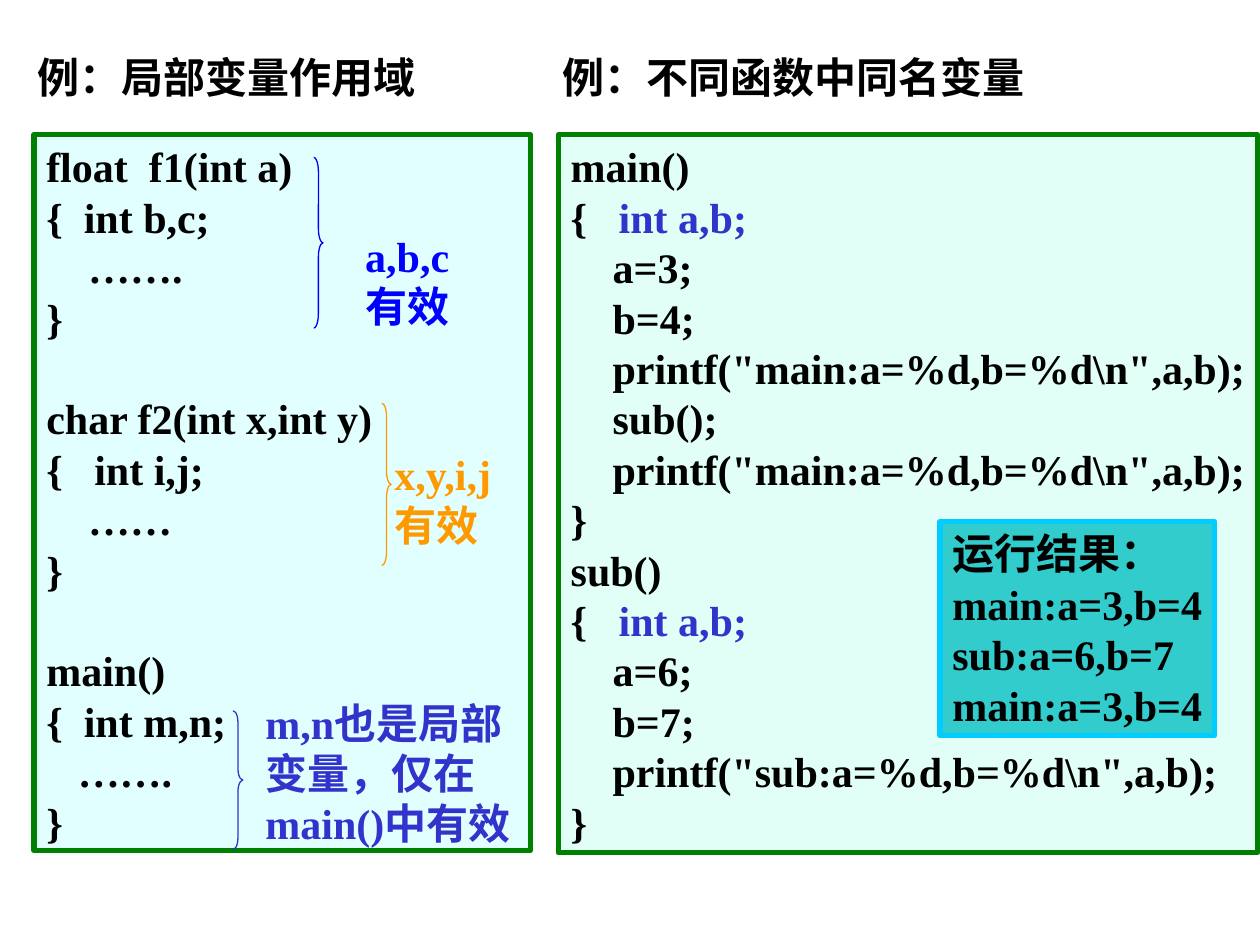
from pptx import Presentation
from pptx.dml.color import RGBColor
from pptx.enum.shapes import MSO_SHAPE
from pptx.enum.text import MSO_ANCHOR, PP_ALIGN
from pptx.util import Pt

THEME = {
    "font": "Times New Roman", "size": 24, "pitch": 28.8,
    "edge": 3, "hair": 0.75,
    "ink": "000000", "blue": "0000FF", "gold": "FF9900", "violet": "3333CC",
    "sky": "E1FFFF", "mint": "E1FFF7", "green": "008000",
    "teal": "33CCCC", "cyan": "00CCFF",
}

HEADS = [
    ("例：局部变量作用域", (14.4, 26, 238, 36)),
    ("例：不同函数中同名变量", (314.6, 26, 318, 36)),
]

SCOPE = [
    ["float  f1(int a)", "{  int b,c;", "    …….", "}"],
    ["char f2(int x,int y)", "{   int i,j;", "    ……", "}"],
    ["main()", "{  int m,n;", "   …….", "}"],
]

CODE = [
    "main()",
    [("{   ", "ink"), ("int a,b;", "violet")],
    "    a=3;",
    "    b=4;",
    '    printf("main:a=%d,b=%d\\n",a,b);',
    "    sub();",
    '    printf("main:a=%d,b=%d\\n",a,b);',
    "}",
    "sub()",
    [("{   ", "ink"), ("int a,b;", "violet")],
    "    a=6;",
    "    b=7;",
    '    printf("sub:a=%d,b=%d\\n",a,b);',
    "}",
]

RESULT = ["运行结果：", "main:a=3,b=4", "sub:a=6,b=7", "main:a=3,b=4"]

NOTES = [
    (["a,b,c", "有效"], "blue", (179.3, 90, 5.3, 97.5), (201.6, 128.2, 84, 57)),
    (["x,y,i,j", "有效"], "gold", (218.2, 230.4, 5.3, 92.8), (218.2, 252.9, 84, 57)),
    (["m,n也是局部", "变量，仅在", "main()中有效"], "violet",
     (133.2, 406.2, 5.6, 79.2), (144.6, 394.8, 168, 94)),
]

LEFT = (19.4, 77, 283.7, 409)
RIGHT = (319, 77, 399.6, 410.4)
OUTPUT = (537.1, 298.1, 157, 122.4)


def tint(name):
    return RGBColor.from_string(THEME[name])


def assign(item, values):
    for key, value in values.items():
        setattr(item, key, value)


def place(shape, box):
    assign(shape, dict(zip(("left", "top", "width", "height"), map(Pt, box))))


def write(shape, lines, color="ink", wrap=True, gaps=()):
    frame = shape.text_frame
    assign(frame, {
        "word_wrap": wrap, "vertical_anchor": MSO_ANCHOR.TOP,
        "margin_left": Pt(7.2), "margin_right": Pt(7.2),
        "margin_top": Pt(3.6), "margin_bottom": Pt(3.6),
    })
    for row, line in enumerate(lines):
        para = frame.add_paragraph() if row else frame.paragraphs[0]
        assign(para, {
            "alignment": PP_ALIGN.LEFT,
            "line_spacing": Pt(THEME["pitch"]),
            "space_before": Pt(THEME["pitch"] if row in gaps else 0),
        })
        for text, name in [(line, color)] if isinstance(line, str) else line:
            run = para.add_run()
            run.text = text
            assign(run.font, {"name": THEME["font"], "size": Pt(THEME["size"]), "bold": True})
            run.font.color.rgb = tint(name)


def draw(slide, kind, box, edge, width, fill=None):
    shape = slide.shapes.add_shape(kind, *map(Pt, box))
    shape.shadow.inherit = False
    if fill:
        shape.fill.solid()
        shape.fill.fore_color.rgb = tint(fill)
    else:
        shape.fill.background()
    shape.line.color.rgb = tint(edge)
    shape.line.width = Pt(THEME[width])
    return shape


def label(slide, box, lines, **style):
    write(slide.shapes.add_textbox(*map(Pt, box)), lines, **style)


def main():
    deck = Presentation()
    assign(deck, {"slide_width": Pt(720), "slide_height": Pt(540)})
    slide = deck.slides.add_slide(deck.slide_layouts[5])

    (first, spot), (second, other) = HEADS
    title = slide.shapes.title
    place(title, spot)
    write(title, [first])
    label(slide, other, [second])

    draw(slide, MSO_SHAPE.RECTANGLE, LEFT, "green", "edge", "sky")
    lines = [line for block in SCOPE for line in block]
    starts = [sum(map(len, SCOPE[:i])) for i in range(1, len(SCOPE))]
    label(slide, (*LEFT[:2], 210, LEFT[3]), lines, gaps=starts)

    for words, color, curve, box in NOTES:
        brace = draw(slide, MSO_SHAPE.RIGHT_BRACE, curve, color, "hair")
        brace.adjustments[0] = curve[3] / curve[2] / 12
        label(slide, box, words, color=color)

    panel = draw(slide, MSO_SHAPE.RECTANGLE, RIGHT, "green", "edge", "mint")
    write(panel, CODE, wrap=False)
    panel = draw(slide, MSO_SHAPE.RECTANGLE, OUTPUT, "cyan", "edge", "teal")
    write(panel, RESULT, wrap=False)

    deck.save("out.pptx")


if __name__ == "__main__":
    main()
